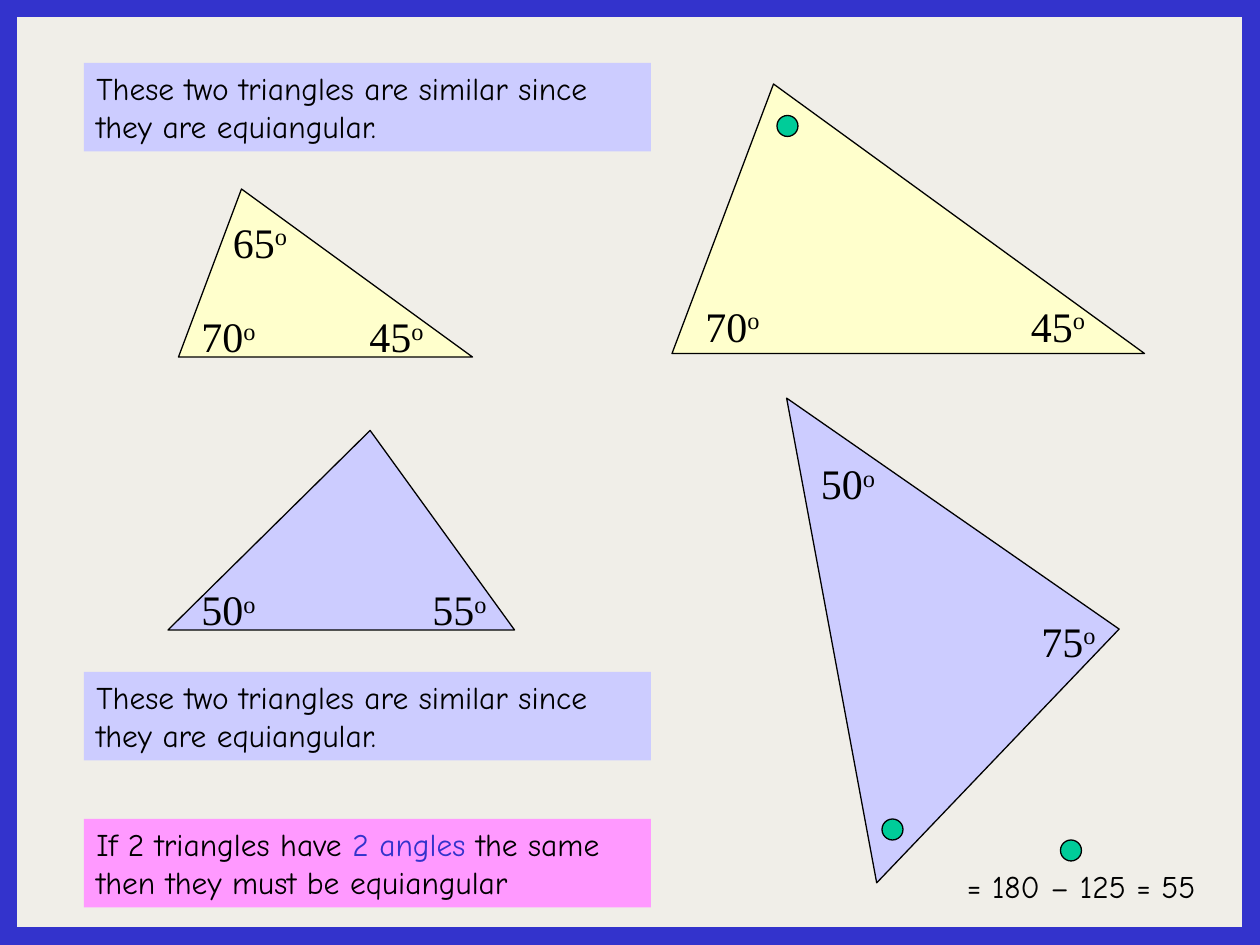
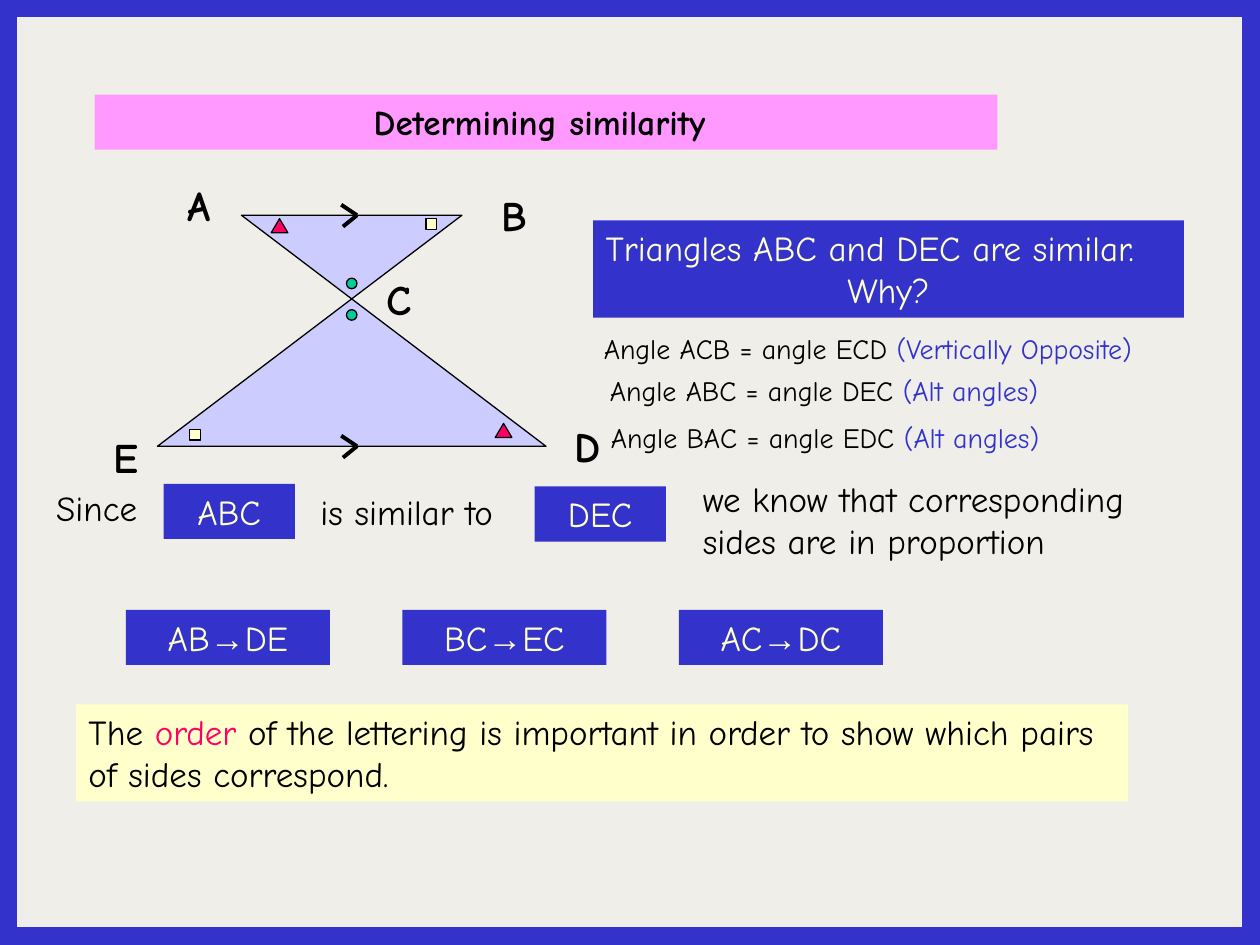
from lxml.etree import SubElement
from pptx import Presentation
from pptx.dml.color import RGBColor
from pptx.enum.shapes import MSO_CONNECTOR as Connector, MSO_SHAPE as Preset
from pptx.enum.text import MSO_ANCHOR as Anchor, MSO_AUTO_SIZE as AutoSize, PP_ALIGN as Align
from pptx.oxml.ns import qn
from pptx.util import Pt

WIDTH, HEIGHT = 720, 540
BODY_FONT, ANGLE_FONT, ARROW_FONT = "Comic Neue", "Times New Roman", "Arial"
COLORS = {
    "paper": "F0EEE8", "black": "000000", "blue": "3333CC", "lilac": "CCCCFF",
    "cream": "FFFFCC", "pink": "FF99FF", "green": "00CC99", "red": "FF0066",
}


def rgb(name):
    return RGBColor.from_string(COLORS[name])


def style(shape, fill=None, line=None, line_width=0.75):
    shape.shadow.inherit = False
    if fill:
        shape.fill.solid()
        shape.fill.fore_color.rgb = rgb(fill)
    else:
        shape.fill.background()
    if line:
        shape.line.color.rgb = rgb(line)
        shape.line.width = Pt(line_width)
    else:
        shape.line.fill.background()


def add_run(paragraph, text, size, color="black", font=BODY_FONT, bold=False):
    run = paragraph.add_run()
    run.text = text
    run.font.size = Pt(size)
    run.font.name = font
    run.font.bold = bold
    run.font.color.rgb = rgb(color)
    return run


def add_text(slide, box, runs, size=20, fill=None, color="black", align=Align.LEFT, bold=False):
    """Add a text box, or a panel if filled; runs are (text, color, font), the last two optional."""
    box = [Pt(length) for length in box]
    if fill:
        shape = slide.shapes.add_shape(Preset.RECTANGLE, *box)
        style(shape, fill)
    else:
        shape = slide.shapes.add_textbox(*box)
    frame = shape.text_frame
    frame.word_wrap = True
    frame.auto_size = AutoSize.SHAPE_TO_FIT_TEXT
    frame.vertical_anchor = Anchor.TOP
    paragraph = frame.paragraphs[0]
    paragraph.alignment = align
    for text, *options in runs:
        run_color, font = (options + [color, BODY_FONT][len(options):])
        add_run(paragraph, text, size, run_color, font, bold)
    return frame


def add_angle(slide, left, top, degrees):
    frame = add_text(slide, (left, top, 66, 36), [(str(degrees), "black", ANGLE_FONT)], 24)
    degree_sign = add_run(frame.paragraphs[0], "o", 24, font=ANGLE_FONT)
    degree_sign.font._element.set("baseline", "30000")


def add_outline(slide, points, fill):
    start, *others = [(Pt(x), Pt(y)) for x, y in points]
    builder = slide.shapes.build_freeform(*start)
    builder.add_line_segments(others, close=True)
    style(builder.convert_to_shape(), fill, "black")


def add_marker(slide, preset, left, top, width, height, fill):
    marker = slide.shapes.add_shape(preset, Pt(left), Pt(top), Pt(width), Pt(height))
    style(marker, fill, "black")


def add_parallel_mark(slide, tip_x, tip_y):
    for tail_x, tail_y in ((tip_x - 9, tip_y - 6), (tip_x - 8, tip_y + 6.5)):
        line = slide.shapes.add_connector(
            Connector.STRAIGHT, Pt(tail_x), Pt(tail_y), Pt(tip_x), Pt(tip_y))
        line.line.color.rgb = rgb("black")
        line.line.width = Pt(2.25)
        SubElement(line._element.spPr, qn("a:effectLst"))


def add_blue_panel(slide, box, runs, align=Align.CENTER):
    return add_text(slide, box, runs, fill="blue", color="cream", align=align)


def add_slide(presentation):
    slide = presentation.slides.add_slide(presentation.slide_layouts[6])
    slide.background.fill.solid()
    slide.background.fill.fore_color.rgb = rgb("paper")
    return slide


def add_border(slide):
    border = slide.shapes.add_shape(Preset.RECTANGLE, 0, 0, Pt(WIDTH), Pt(HEIGHT))
    style(border, line="blue", line_width=20)


def build_equiangular_slide(slide):
    triangles = [
        ("cream", [(102, 204), (270, 204), (138, 108)]),
        ("cream", [(384, 202), (654, 202), (442, 48)]),
        ("lilac", [(96, 360), (294, 360), (211.5, 246)]),
        ("lilac", [(449.5, 227.5), (501, 504.5), (639.5, 359.5)]),
    ]
    for fill, points in triangles:
        add_outline(slide, points, fill)

    angles = [
        (108, 174, 70), (204, 174, 45), (126, 120, 65), (396, 168, 70), (582, 168, 45),
        (108, 330, 50), (240, 330, 55), (588, 348, 75), (462, 258, 50),
    ]
    for left, top, degrees in angles:
        add_angle(slide, left, top, degrees)
    for left, top in ((444, 66), (504, 468), (606, 480)):
        add_marker(slide, Preset.OVAL, left, top, 12, 12, "green")

    reason = [("These two triangles are similar since they are equiangular.",)]
    rule = [("If 2 triangles have ",), ("2 angles", "blue"),
            (" the same then they must be equiangular",)]
    for top, runs, fill in ((36, reason, "lilac"), (384, reason, "lilac"), (468, rule, "pink")):
        add_text(slide, (48, top, 324, 50.5), runs, 18, fill)
    add_text(slide, (545.5, 492, 174, 29), [("= 180 – 125 = 55",)], 18)
    add_border(slide)


def build_similarity_slide(slide):
    add_text(slide, (54, 54, 516, 31.5), [("Determining similarity ",)],
             fill="pink", align=Align.CENTER, bold=True)

    add_outline(slide, [(138, 123), (264, 123), (90, 255), (312, 255)], "lilac")
    vertices = [("A", 90, 99), ("B", 270, 105), ("C", 204, 153), ("D", 312, 237), ("E", 48, 243)]
    for letter, left, top in vertices:
        add_text(slide, (left, top, 48, 36), [(letter,)], 24, align=Align.CENTER, bold=True)
    for side_y in (123, 255):
        add_parallel_mark(slide, 204, side_y)
    equal_angles = [
        (Preset.OVAL, 6, 6, "green", [(198, 159), (198, 177)]),
        (Preset.RECTANGLE, 6, 6, "cream", [(108.5, 245.5), (243.5, 125)]),
        (Preset.ISOSCELES_TRIANGLE, 9.5, 8, "red", [(283, 242), (155, 125)]),
    ]
    for preset, width, height, fill, places in equal_angles:
        for left, top in places:
            add_marker(slide, preset, left, top, width, height, fill)

    question = add_blue_panel(slide, (339, 126, 337.5, 55.5),
                              [("Triangles ABC and DEC are similar.",)], Align.LEFT)
    why = question.add_paragraph()
    why.alignment = Align.CENTER
    add_run(why, "Why?", 20, "cream")

    reasons = [
        (338, 186, "Angle ACB = angle ECD ", "(Vertically Opposite)"),
        (341.5, 210, "Angle ABC = angle DEC ", "(Alt angles)"),
        (342, 237, "Angle BAC = angle EDC ", "(Alt angles)"),
    ]
    for left, top, equality, reason in reasons:
        add_text(slide, (left, top, 360, 26.5), [(equality,), (reason, "blue")], 16)

    statement = [
        (25, 274.5, 75, 31.5, "Since"),
        (176, 277, 140, 31.5, "is similar to"),
        (394.5, 269.5, 286.5, 55.5, "we know that corresponding sides are in proportion"),
    ]
    for *box, text in statement:
        add_text(slide, box, [(text,)])
    for left, top, name in ((93.5, 276.5, "ABC"), (305.5, 278, "DEC")):
        add_blue_panel(slide, (left, top, 75, 31.5), [(name,)])

    for index, (side, match) in enumerate((("AB", "DE"), ("BC", "EC"), ("AC", "DC"))):
        add_blue_panel(slide, (72 + 158 * index, 348.5, 116.5, 31.5),
                       [(side,), ("→", "cream", ARROW_FONT), (match,)])
    add_text(slide, (43.5, 402.5, 601, 55.5),
             [("The ",), ("order", "red"),
              (" of the lettering is important in order to show which pairs"
               " of sides correspond.",)], fill="cream")
    add_border(slide)


def main():
    presentation = Presentation()
    presentation.slide_width = Pt(WIDTH)
    presentation.slide_height = Pt(HEIGHT)
    build_equiangular_slide(add_slide(presentation))
    build_similarity_slide(add_slide(presentation))
    presentation.save("out.pptx")


if __name__ == "__main__":
    main()
